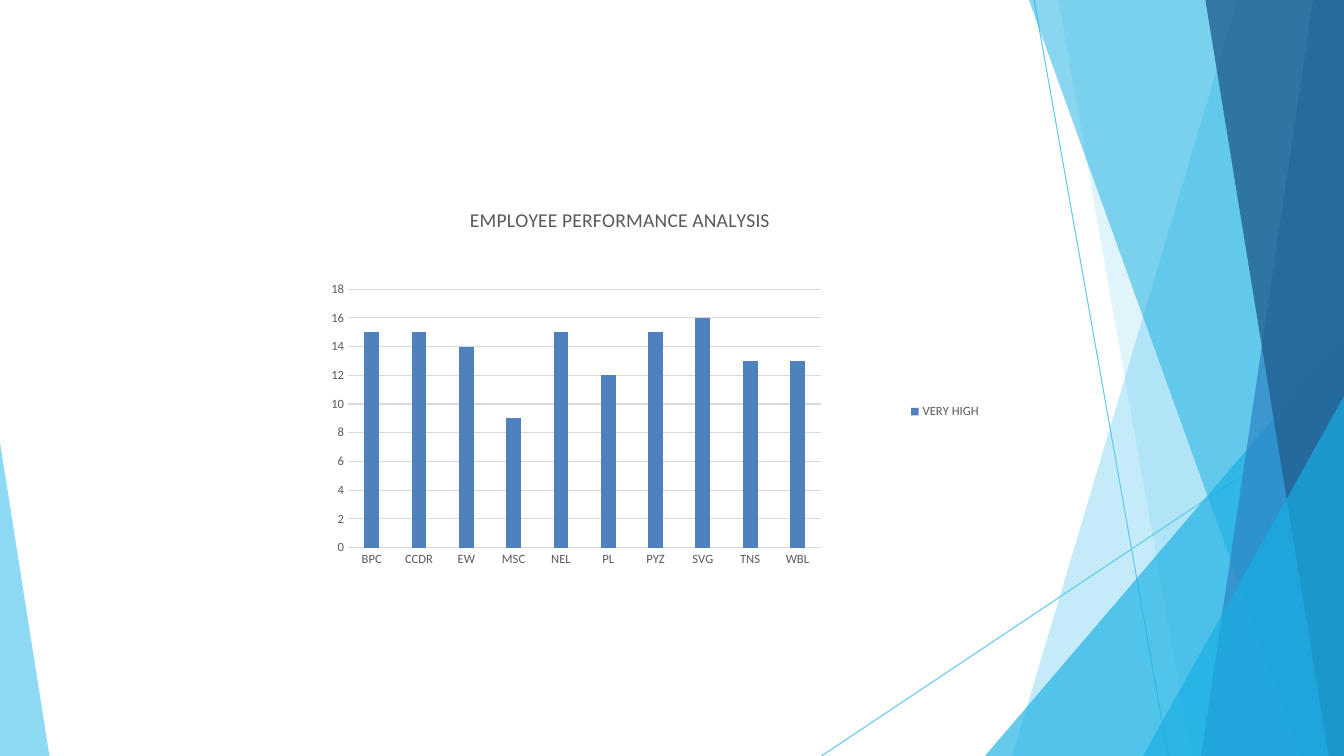
import pptx
import pptx.chart.data
import pptx.dml.color
import pptx.enum.chart
import pptx.enum.shapes
import pptx.oxml.ns
import pptx.oxml.xmlchemy
import pptx.util

Pt = pptx.util.Pt
qn = pptx.oxml.ns.qn
new_element = pptx.oxml.xmlchemy.OxmlElement
W, H = 960, 540
SKY, CYAN, BLUE, NAVY = "5FCAEE", "17AFE3", "2D83C3", "226192"


def rgb(value):
    """Turn a hex string into a colour."""
    return pptx.dml.color.RGBColor.from_string(value)


def set_font(font, size=9, color="595959", name="Calibri", bold=False):
    """Format a font."""
    font.size, font.name, font.bold = Pt(size), name, bold
    font.color.rgb = rgb(color)


def set_text(tf, text, **fmt):
    """Write one paragraph of text in the given format."""
    p = tf.paragraphs[0]
    r = p.add_run()
    r.text = text
    set_font(r.font, **fmt)


def set_layout(element, **values):
    """Give a chart part a manual layout."""
    layout = element.find(qn("c:layout"))
    if layout is None:
        layout = new_element("c:layout")
        anchor = element.find(qn("c:tx"))
        element.insert(0 if anchor is None else element.index(anchor) + 1, layout)
    manual = new_element("c:manualLayout")
    layout.append(manual)
    for tag, value in values.items():
        item = new_element("c:" + tag)
        item.set("val", str(value))
        manual.append(item)


class SlideBuilder:
    """Hold the style and the current slide."""

    def __init__(self, prs):
        """Add a blank slide."""
        self.s = prs.slides.add_slide(prs.slide_layouts[6])
        self.grid, self.font = "D9D9D9", "Calibri"

    def line(self, x1, y1, x2, y2, color, width=0.75):
        """Draw a straight line."""
        sp = self.s.shapes.add_connector(
            pptx.enum.shapes.MSO_CONNECTOR.STRAIGHT, Pt(x1), Pt(y1), Pt(x2), Pt(y2))
        sp.line.color.rgb = rgb(color)
        sp.line.width = Pt(width)
        sp._element.spPr.append(new_element("a:effectLst"))

    def polygon(self, points, color, opacity):
        """Draw a translucent closed outline."""
        start, *rest = [(Pt(x), Pt(y)) for x, y in points]
        builder = self.s.shapes.build_freeform(*start, scale=1.0)
        builder.add_line_segments(rest, close=True)
        sp = builder.convert_to_shape()
        sp.shadow.inherit = False
        sp.line.fill.background()
        sp.fill.solid()
        sp.fill.fore_color.rgb = rgb(color)
        alpha = new_element("a:alpha")
        alpha.set("val", str(opacity * 1000))
        sp._element.spPr.find(qn("a:solidFill"))[0].append(alpha)

    def band(self, top_x, top_y, bottom_x, color, opacity):
        """Fill the area between a slanted edge and the right side of the slide."""
        points = [(W, top_y), (top_x, top_y), (bottom_x, H), (W, H)]
        self.polygon(points[1:] if top_x == W else points, color, opacity)

    def column_chart(self, x, y, w, h, title, name, values, color):
        """Draw a column chart with one series."""
        data = pptx.chart.data.CategoryChartData()
        data.categories = list(values)
        data.add_series(name, list(values.values()))
        chart = self.s.shapes.add_chart(
            pptx.enum.chart.XL_CHART_TYPE.COLUMN_CLUSTERED,
            Pt(x), Pt(y), Pt(w), Pt(h), data).chart
        set_font(chart.font, size=10, color="000000", name=self.font)
        chart.has_title = True
        set_text(chart.chart_title.text_frame, title, size=14, name=self.font)
        set_layout(chart.chart_title._element, xMode="edge", yMode="edge", x=0.29, y=0.04)
        chart.has_legend = True
        chart.legend.position = pptx.enum.chart.XL_LEGEND_POSITION.RIGHT
        chart.legend.include_in_layout = False
        set_font(chart.legend.font, name=self.font)

        plot = chart.plots[0]
        plot.gap_width, plot.overlap, plot.vary_by_categories = 219, -27, False
        fill = plot.series[0].format.fill
        fill.solid()
        fill.fore_color.rgb = rgb(color)
        set_layout(chart._chartSpace.chart.plotArea, layoutTarget="inner",
                   xMode="edge", yMode="edge", x=0.13, y=0.23, w=0.64, h=0.57)

        cat, val = chart.category_axis, chart.value_axis
        for axis in (cat, val):
            axis.major_tick_mark = pptx.enum.chart.XL_TICK_MARK.NONE
            axis.minor_tick_mark = pptx.enum.chart.XL_TICK_MARK.NONE
            set_font(axis.tick_labels.font, name=self.font)
        val.minimum_scale, val.maximum_scale, val.major_unit = 0, 18, 2
        val.format.line.fill.background()
        for line in (cat.format.line, val.major_gridlines.format.line):
            line.color.rgb = rgb(self.grid)
            line.width = Pt(0.75)


def main():
    """Build the slide."""
    prs = pptx.Presentation()
    prs.slide_width, prs.slide_height = Pt(W), Pt(H)
    slide = SlideBuilder(prs)

    slide.line(738.7, 0, 834.5, H, SKY)
    slide.line(W, 291, 586.8, H, SKY)
    bands = [
        (884, 0, 723, SKY, 36),
        (756, 0, 851, SKY, 20),
        (W, 240, 703.5, CYAN, 66),
        (735, 0, 929.5, CYAN, 50),
        (938, 0, 858, BLUE, 70),
        (861, 0, 949, NAVY, 80),
        (W, 283, 816.5, CYAN, 66),
    ]
    for band in bands:
        slide.band(*band)
    slide.polygon([(0, 316), (0, H), (35.3, H)], SKY, 70)

    slide.column_chart(
        180, 132, 528, 324, "EMPLOYEE PERFORMANCE ANALYSIS", "VERY HIGH",
        {"BPC": 15, "CCDR": 15, "EW": 14, "MSC": 9, "NEL": 15,
         "PL": 12, "PYZ": 15, "SVG": 16, "TNS": 13, "WBL": 13}, "4F81BD")
    prs.save("out.pptx")


if __name__ == "__main__":
    main()
